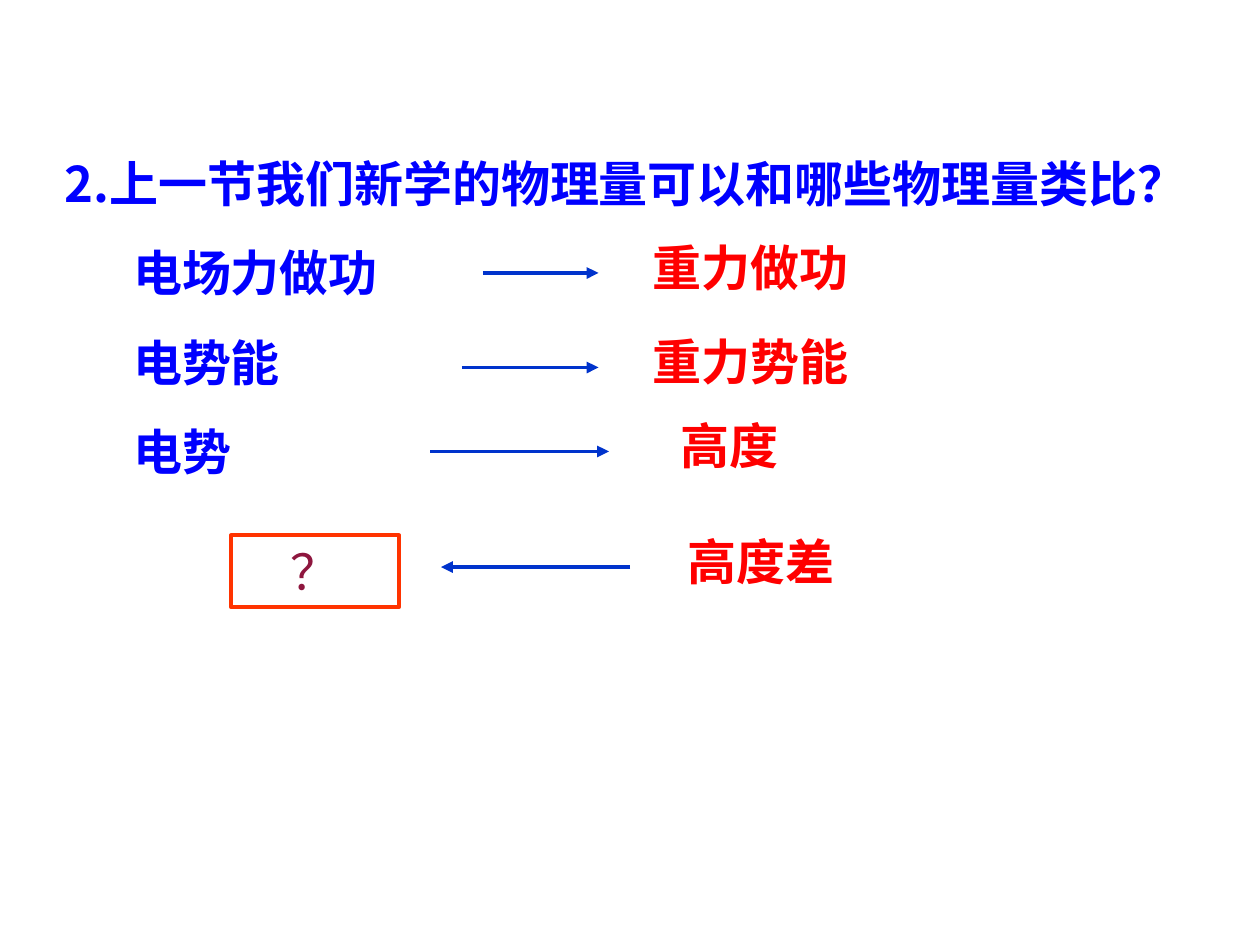
from pptx import Presentation
from pptx.dml.color import RGBColor
from pptx.enum.shapes import MSO_CONNECTOR as Conn, MSO_SHAPE as Shape
from pptx.enum.text import MSO_ANCHOR as Anchor, PP_ALIGN as Align
from pptx.oxml.ns import qn
from pptx.util import Pt
from lxml.etree import SubElement as Sub

HAN = "Noto Sans CJK SC"
ROMAN = "Times New Roman"
ASK = "2.上一节我们新学的物理量可以和哪些物理量类比？"
TERMS = ["电场力做功", "电势能", "电势"]
PEERS = [
    ("重力做功", 348, 132, 162),
    ("重力势能", 354, 186, 150),
    ("高度", 366, 234, 102),
    ("高度差", 372, 300, 126),
]
ARROWS = [(276, 342, 156), (264, 342, 210), (246, 348, 258), (360, 252, 324)]


def color(code):
    """Turn a hex string into a colour."""
    return RGBColor.from_string(code)


def write(frame, lines, tint, face, bold=True, align=Align.CENTER, indent=0):
    """Fill a frame with lines, indenting all but the first."""
    frame.word_wrap = True
    frame.vertical_anchor = Anchor.TOP
    look = {"size": Pt(28), "bold": bold, "name": face}
    for i, line in enumerate(lines):
        para = frame.paragraphs[0] if i == 0 else frame.add_paragraph()
        para.alignment = align
        if i:
            para.space_before = Pt(17.5)
            para._p.get_or_add_pPr().set("marL", str(Pt(indent)))
        run = para.add_run()
        run.text = line
        for key, val in look.items():
            setattr(run.font, key, val)
        run.font.color.rgb = color(tint)
        Sub(run._r.get_or_add_rPr(), qn("a:ea"), typeface=HAN)


def label(slide, box, lines, tint, face, **form):
    """Add a text box."""
    area = slide.shapes.add_textbox(*map(Pt, box))
    write(area.text_frame, lines, tint, face, **form)


def arrow(slide, start, end, y):
    """Add a level arrow that points to its end."""
    line = slide.shapes.add_connector(
        Conn.STRAIGHT, Pt(start), Pt(y), Pt(end), Pt(y))
    line.line.color.rgb = color("0033CC")
    line.line.width = Pt(2.25)
    Sub(line.line._get_or_add_ln(), qn("a:tailEnd"), type="triangle")
    Sub(line._element.spPr, qn("a:effectLst"))


def frame(slide, box, text):
    """Add an outlined box with a text in it."""
    rect = slide.shapes.add_shape(Shape.RECTANGLE, *map(Pt, box))
    rect.shadow.inherit = False
    rect.fill.background()
    rect.line.color.rgb = color("FF3300")
    rect.line.width = Pt(2.25)
    write(rect.text_frame, [text], "8E163E", ROMAN, bold=False)


def main():
    """Build the slide and save it."""
    deck = Presentation()
    deck.slide_width, deck.slide_height = Pt(720), Pt(540)
    slide = deck.slides.add_slide(deck.slide_layouts[6])
    label(slide, (30, 84, 666, 194), [ASK, *TERMS], "0000FF", HAN,
          align=Align.LEFT, indent=39)
    for text, x, y, wide in PEERS:
        label(slide, (x, y, wide, 41), [text], "FF0000", ROMAN)
    for ends in ARROWS:
        arrow(slide, *ends)
    frame(slide, (132, 306, 96, 41), "？")
    deck.save("out.pptx")


if __name__ == "__main__":
    main()
